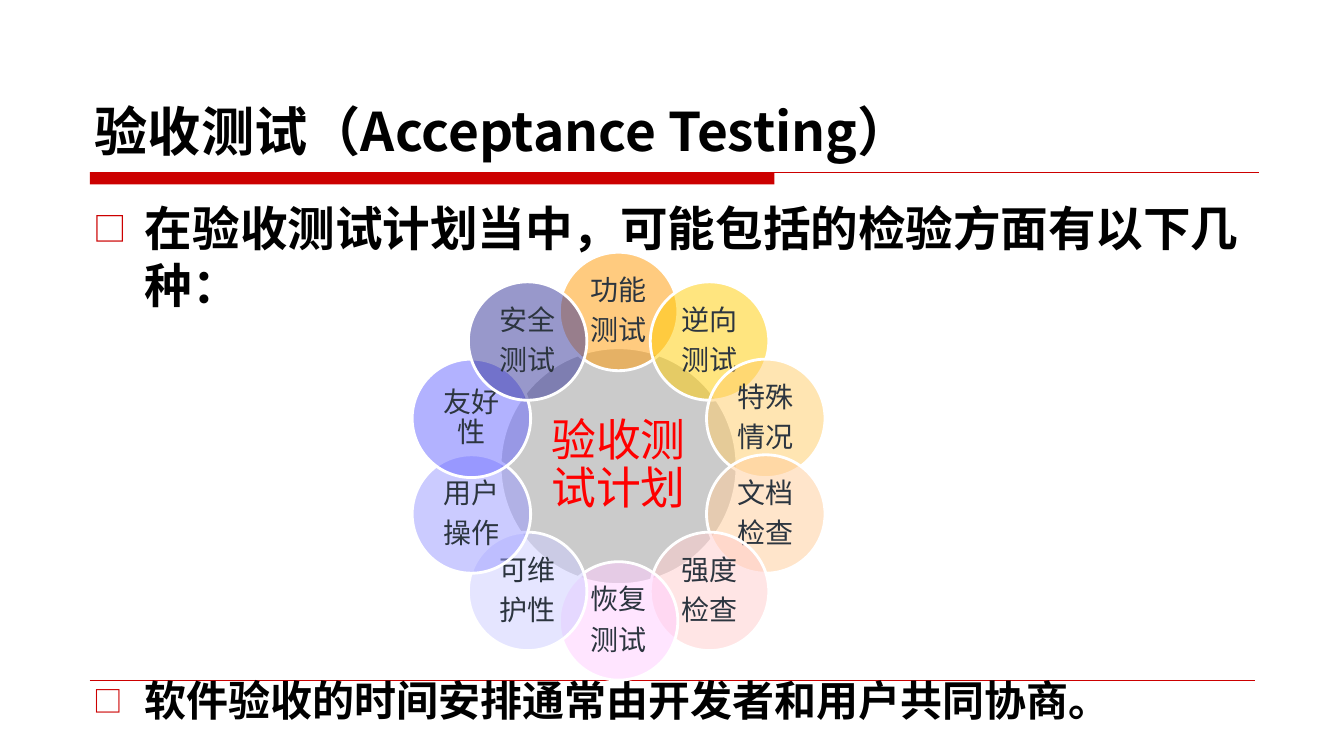
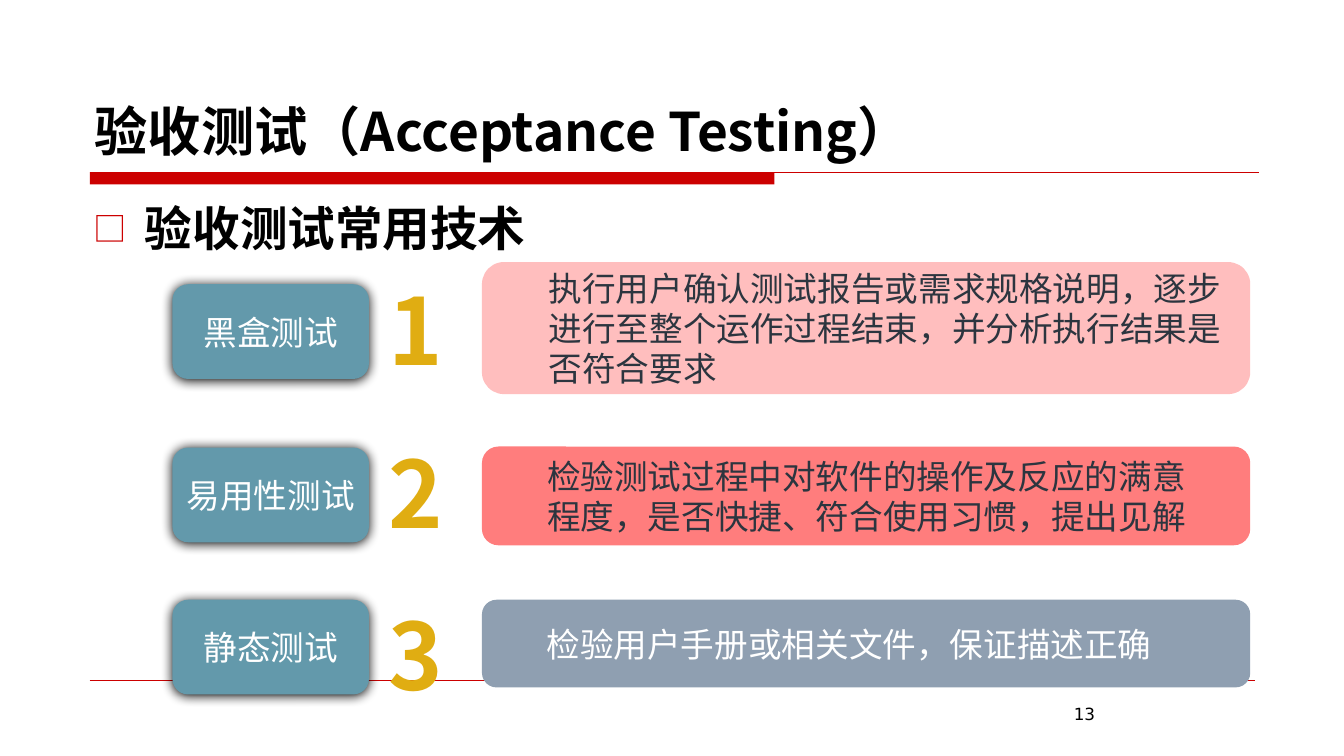
from dataclasses import dataclass
from math import cos, pi, sin

from lxml import etree
from pptx import Presentation
from pptx import util as u
from pptx.dml.color import RGBColor
from pptx.enum import shapes, text
from pptx.oxml.ns import qn


@dataclass(frozen=True)
class Theme:
    font: str = "Noto Sans CJK SC"
    digit_font: str = "Noto Sans CJK JP"
    number_font: str = "DejaVu Sans"
    accent: str = "CC0000"
    black: str = "000000"
    white: str = "FFFFFF"
    ink: str = "2C353F"
    hub: str = "999999"
    hub_text: str = "FF0000"
    badge: str = "6399AB"
    digit: str = "E0AD12"
    title_size: int = 38
    lead_size: int = 34
    hub_size: int = 32
    note_size: int = 30
    label_size: int = 24
    petal_size: int = 20
    digit_size: int = 66
    number_size: int = 12


theme = Theme()
deck = Presentation()
deck.slide_width, deck.slide_height = u.Inches(13.33), u.Inches(7.5)
CELL = deck.slide_height / 75  # square grid: 75 rows, about 133 columns
Kind, Align, Anchor = shapes.MSO_SHAPE, text.PP_ALIGN, text.MSO_ANCHOR


def place(page, kind, area, fill=None):
    """Add a flat shape, or a text box when kind is None; area is in grid cells."""
    spot = [round(value * CELL) for value in area]
    if kind is None:
        return page.shapes.add_textbox(*spot)
    shape = page.shapes.add_shape(kind, *spot)
    shape.shadow.inherit = False
    shape.fill.solid()
    shape.fill.fore_color.rgb = RGBColor.from_string(fill)
    shape.line.fill.background()
    return shape


def write(box, lines, size, color, bold=False, font=theme.font, align=Align.LEFT,
          anchor=Anchor.TOP, inset=None, indent=0, bullet=False, tight=False):
    """Fill a box with one paragraph per line, all in one style."""
    frame = box.text_frame
    frame.word_wrap, frame.vertical_anchor = True, anchor
    if inset is not None:
        frame.margin_left = frame.margin_right = u.Inches(inset)
        frame.margin_top = frame.margin_bottom = u.Inches(inset)
    frame.text = "\n".join(lines)
    for para in frame.paragraphs:
        para.alignment = align
        props = para._p.get_or_add_pPr()
        if tight:
            para.line_spacing, para.space_after = 0.9, u.Pt(0.35 * size)
        if indent:
            props.set("marL", str(u.Inches(indent)))
        if bullet:
            props.set("indent", str(-u.Inches(indent)))
            tint = etree.SubElement(props, qn("a:buClr"))
            etree.SubElement(tint, qn("a:srgbClr"), val=theme.accent)
            etree.SubElement(props, qn("a:buSzPct"), val="70000")
            etree.SubElement(props, qn("a:buFont"), typeface=theme.font)
            etree.SubElement(props, qn("a:buChar"), char="□")
        para.font.size, para.font.bold, para.font.name = u.Pt(size), bold, font
        para.font.color.rgb = RGBColor.from_string(color)
        etree.SubElement(props.find(qn("a:defRPr")), qn("a:ea"), typeface=font)


# Shared frame: rules, title and leading bullet
leads = ["在验收测试计划当中，可能包括的检验方面有以下几种：", "验收测试常用技术"]
pages = []
for lead in leads:
    page = deck.slides.add_slide(deck.slide_layouts[6])
    pages.append(page)
    place(page, Kind.RECTANGLE, (8.9, 17.1, 67.9, 1.2), theme.accent)
    for right, row, weight in [(124.9, 17.1, 0.75), (124.5, 67.5, 0.25)]:
        ends = [round(value * CELL) for value in (8.9, row, right, row)]
        rule = page.shapes.add_connector(shapes.MSO_CONNECTOR.STRAIGHT, *ends)
        rule.line.color.rgb = RGBColor.from_string(theme.accent)
        rule.line.width = u.Pt(weight)
        etree.SubElement(rule._element.spPr, qn("a:effectLst"))
    write(place(page, None, (8.4, 3.3, 116.7, 13.3)), ["验收测试（Acceptance Testing）"],
          theme.title_size, theme.black, bold=True, anchor=Anchor.BOTTOM)
    write(place(page, None, (8.3, 19.2, 116.7, 12.4)), [lead],
          theme.lead_size, theme.black, bold=True, indent=0.51, bullet=True)
plan_page, methods_page = pages

# Plan: closing bullet
write(place(plan_page, None, (8.3, 66.4, 116.7, 6)),
      ["软件验收的时间安排通常由开发者和用户共同协商。"],
      theme.note_size, theme.black, bold=True, indent=0.51, bullet=True)

# Plan: wheel with a hub and petals spaced evenly, clockwise from the top
CENTER_X, CENTER_Y, ORBIT, PETAL = 61.35, 46.25, 15.35, 11.75
petals = [
    (["功能", "测试"], "FF9900"),
    (["逆向", "测试"], "FFCC00"),
    (["特殊", "情况"], "FFCC66"),
    (["文档", "检查"], "FFCC99"),
    (["强度", "检查"], "FFCCCC"),
    (["恢复", "测试"], "FFCCFF"),
    (["可维", "护性"], "CCCCFF"),
    (["用户", "操作"], "9999FF"),
    (["友好性"], "6666FF"),
    (["安全", "测试"], "333399"),
]
discs = [(["验收测试计划"], theme.hub, 0, 0, 2 * PETAL, theme.hub_size, theme.hub_text)]
for index, (lines, fill) in enumerate(petals):
    angle = 2 * pi * index / len(petals)
    discs.append((lines, fill, ORBIT * sin(angle), -ORBIT * cos(angle), PETAL,
                  theme.petal_size, theme.ink))
for lines, fill, shift_x, shift_y, width, size, color in discs:
    area = (CENTER_X + shift_x - width / 2, CENTER_Y + shift_y - width / 2, width, width)
    disc = place(plan_page, Kind.OVAL, area, fill)
    tint = disc._element.spPr.find(qn("a:solidFill")).find(qn("a:srgbClr"))
    etree.SubElement(tint, qn("a:alpha"), val="50000")
    disc.line.color.rgb = RGBColor.from_string(theme.white)
    disc.line.width = u.Pt(2)
    write(disc, lines, size, color, align=Align.CENTER, anchor=Anchor.MIDDLE,
          inset=0.03, tight=True)

# Methods: badge, digit and description panel in each row
methods = [
    ("黑盒测试", 28.2, 26.6, 26, 13.1, "FFBEBE", theme.ink,
     ["执行用户确认测试报告或需求规格说明，逐步",
      "进行至整个运作过程结束，并分析执行结果是",
      "否符合要求"]),
    ("易用性测试", 44.4, 42.8, 44.3, 9.8, "FF7D7D", theme.ink,
     ["检验测试过程中对软件的操作及反应的满意",
      "程度，是否快捷、符合使用习惯，提出见解"]),
    ("静态测试", 59.5, 58.8, 59.5, 8.7, "8F9FB1", theme.white,
     ["检验用户手册或相关文件，保证描述正确"]),
]
for number, method in enumerate(methods, 1):
    name, badge_top, digit_top, panel_top, panel_height, fill, color, lines = method
    badge = place(methods_page, Kind.ROUNDED_RECTANGLE, (17.1, badge_top, 19.5, 9.4),
                  theme.badge)
    effects = badge._element.spPr.find(qn("a:effectLst"))
    shadow = etree.SubElement(effects, qn("a:outerShdw"), blurRad=str(u.Pt(8.5)),
                              dist=str(u.Pt(1)), dir="5400000", rotWithShape="0")
    etree.SubElement(shadow, qn("a:srgbClr"), val=theme.black)
    write(badge, [name], theme.label_size, theme.white, align=Align.CENTER,
          anchor=Anchor.MIDDLE, inset=0.05)
    write(place(methods_page, None, (37.6, digit_top, 8, 12.1)), [str(number)],
          theme.digit_size, theme.digit, bold=True, font=theme.digit_font)
    panel = place(methods_page, Kind.ROUNDED_RECTANGLE,
                  (47.8, panel_top, 76.2, panel_height), fill)
    write(panel, lines, theme.label_size, color, anchor=Anchor.MIDDLE, indent=0.5)

# Methods: page number
write(place(methods_page, None, (87.9, 69.3, 21.7, 5.2)), ["13"], theme.number_size,
      theme.black, font=theme.number_font, align=Align.RIGHT)

deck.save("out.pptx")
